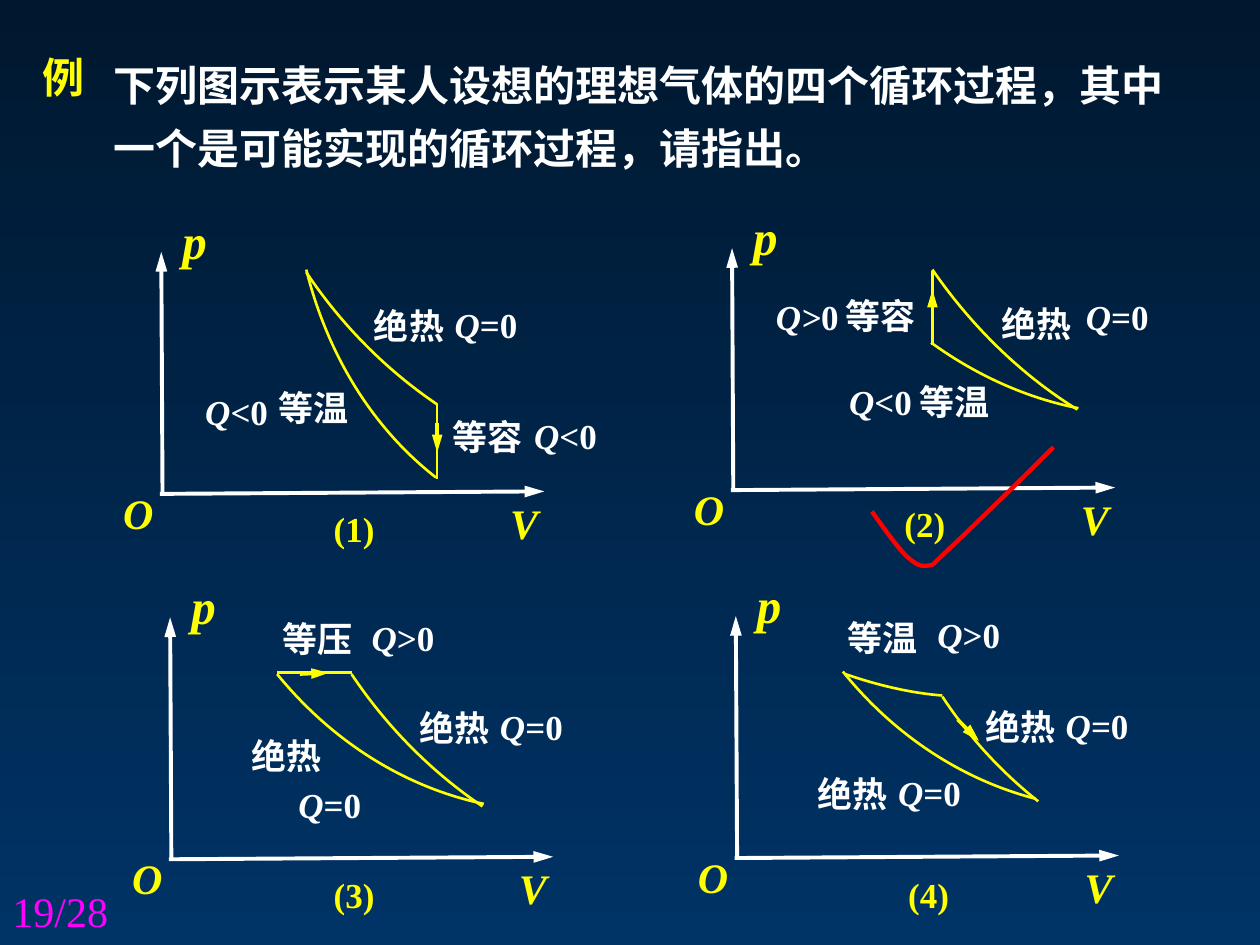
import math

import pptx
import pptx.util
import pptx.dml.color
import pptx.enum.shapes
import pptx.enum.text
import pptx.oxml
import pptx.oxml.ns
from pptx.util import Inches

WHITE, YELLOW, RED, MAGENTA = "FFFFFF", "FFFF00", "FF0000", "FF00FF"
SERIF = "Times New Roman"
NAMESPACE = pptx.oxml.ns.nsdecls("a")

# Shift of each diagram's axes, relative to the first one
AXES_SHIFTS = [(0, 0), (4.53, -0.03), (0.07, 2.9), (4.56, 2.89)]

# Caption of each diagram: text, left, top
CAPTIONS = [("(1)", 2.55, 3.98), ("(2)", 7.08, 3.94),
            ("(3)", 2.55, 6.88), ("(4)", 7.11, 6.88)]

# Curved processes: frame, rotation, then start, two control points and end as drawn
ARCS = [
    ((2.64, 1.39, 2.32, 1.45), 325.8, [(3.47, 3.21), (3.07, 2.94), (2.71, 2.58), (2.43, 2.16)]),
    ((2.41, 1.16, 2.41, 2.64), 3.9, [(3.46, 3.79), (2.96, 3.4), (2.6, 2.82), (2.43, 2.14)]),
    ((7.64, 1.35, 2.32, 1.56), 325.8, [(8.55, 3.25), (8.11, 2.98), (7.71, 2.59), (7.4, 2.14)]),
    ((7.17, 0.93, 2.41, 2.19), 323.6, [(8.56, 3.24), (8.15, 3.16), (7.75, 2.98), (7.39, 2.72)]),
    ((3, 4.58, 2.32, 1.45), 325.8, [(3.83, 6.4), (3.43, 6.13), (3.07, 5.77), (2.79, 5.35)]),
    ((2.2, 3.82, 2.41, 2.64), 338.3, [(3.84, 6.38), (3.22, 6.25), (2.64, 5.89), (2.2, 5.35)]),
    ((7.59, 4.77, 2.32, 1.13), 325.8, [(8.24, 6.36), (7.95, 6.13), (7.69, 5.85), (7.48, 5.53)]),
    ((6.68, 3.81, 2.41, 2.57), 338.3, [(8.22, 6.34), (7.64, 6.19), (7.1, 5.84), (6.69, 5.33)]),
    ((6.1, 3.39, 2.41, 1.78), 307.1, [(7.48, 5.52), (7.23, 5.5), (6.97, 5.44), (6.71, 5.35)]),
]

# Straight processes and the direction arrows on them
STRAIGHTS = [((3.47, 3.21), (3.47, 3.8)), ((7.4, 2.15), (7.4, 2.74)),
             ((2.2, 5.34), (2.79, 5.34))]
DIRECTIONS = [((3.47, 3.36), (3.47, 3.59)), ((7.4, 2.53), (7.4, 2.3)),
              ((2.38, 5.35), (2.61, 5.34)), ((7.6, 5.71), (7.77, 5.88))]

# Names of the processes: text, left, top, width
PROCESSES = [
    ("绝热", 2.87, 2.37, 1.34), ("等容", 3.49, 3.25, 1.35), ("等温", 2.11, 3.02, 1.16),
    ("绝热", 7.85, 2.35, 1.34), ("等容", 6.61, 2.29, 1.35), ("等温", 7.2, 2.97, 1.16),
    ("绝热", 3.23, 5.56, 1.34), ("等压", 2.14, 4.85, 1.35), ("绝热", 1.9, 5.78, 1.34),
    ("绝热", 7.72, 5.55, 1.34), ("等温", 6.63, 4.84, 1.35), ("绝热", 6.39, 6.08, 1.34),
]

# Heat of the processes: italic part, upright part, left, top, width
HEATS = [
    ("Q", "=0", 3.51, 2.36, 1.2), ("Q", "<0", 4.14, 3.24, 1.2), ("Q", "<0", 1.53, 3.05, 1.12),
    ("Q", "=0", 8.52, 2.3, 1.2), ("Q>", "0", 6.06, 2.3, 1.2), ("Q", "<0", 6.64, 2.97, 1.12),
    ("Q", "=0", 3.87, 5.55, 1.2), ("Q", ">0", 2.85, 4.84, 1.12), ("Q", "=0", 2.27, 6.17, 1.2),
    ("Q", "=0", 8.36, 5.54, 1.2), ("Q", ">0", 7.34, 4.82, 1.12), ("Q", "=0", 7.03, 6.07, 1.2),
]

# Tick over the right answer: start, then three points for each joined curve
TICK_FRAME = (6.92, 3.55, 1.44, 0.96)
TICK = [(6.92, 4.06), (7.02, 4.2), (7.12, 4.34), (7.19, 4.41),
        (7.27, 4.48), (7.3, 4.5), (7.36, 4.49),
        (7.42, 4.48), (7.37, 4.51), (7.53, 4.36),
        (7.7, 4.2), (8.03, 3.88), (8.36, 3.55)]


def rgb(color):
    return pptx.dml.color.RGBColor.from_string(color)


def add_text(shapes, text, left, top, width, height, size=20, color=WHITE,
             italic="", font=SERIF, bold=True, wrap=True, grow=True):
    """Add a text box; an italic part may lead the upright text."""
    box = shapes.add_textbox(Inches(left), Inches(top), Inches(width), Inches(height))
    frame = box.text_frame
    frame.word_wrap = wrap
    if grow:
        frame.auto_size = pptx.enum.text.MSO_AUTO_SIZE.SHAPE_TO_FIT_TEXT
    paragraph = frame.paragraphs[0]
    paragraph.text = italic or text
    if italic:
        paragraph.runs[0].font.italic = True
        if text:
            paragraph.add_run().text = text
    for run in paragraph.runs:
        run.font.name = font
        run.font.size = pptx.util.Pt(size)
        run.font.bold = bold
        run.font.color.rgb = rgb(color)
    return paragraph


def add_line(shapes, start, end, color, weight, arrow=False):
    line = shapes.add_connector(pptx.enum.shapes.MSO_CONNECTOR.STRAIGHT,
                                *(Inches(value) for value in (*start, *end)))
    line.line.color.rgb = rgb(color)
    line.line.width = pptx.util.Pt(weight)
    if arrow:
        line.line._get_or_add_ln().append(pptx.oxml.parse_xml(
            f'<a:tailEnd {NAMESPACE} type="triangle" w="med" len="lg"/>'))
    line._element.spPr.append(pptx.oxml.parse_xml(f'<a:effectLst {NAMESPACE}/>'))


def add_curve(shapes, frame, points, color, weight, rotation=0):
    """Draw joined cubic curves in a frame that is turned about its centre."""
    left, top, width, height = frame
    builder = shapes.build_freeform(Inches(left), Inches(top))
    builder.add_line_segments([(Inches(left + width), Inches(top + height))], close=False)
    outline = builder.convert_to_shape()
    outline.rotation = rotation
    outline.shadow.inherit = False
    outline.fill.background()
    outline.line.color.rgb = rgb(color)
    outline.line.width = pptx.util.Pt(weight)

    # Turn the points back into the frame and use them as curve points
    cosine, sine = math.cos(math.radians(rotation)), math.sin(math.radians(rotation))
    marks = []
    for x, y in points:
        dx, dy = x - left - width / 2, y - top - height / 2
        local_x = Inches(dx * cosine + dy * sine + width / 2)
        local_y = Inches(dy * cosine - dx * sine + height / 2)
        marks.append(f'<a:pt {NAMESPACE} x="{local_x}" y="{local_y}"/>')
    commands = [f'<a:moveTo {NAMESPACE}>{marks[0]}</a:moveTo>']
    commands += [f'<a:cubicBezTo {NAMESPACE}>{"".join(marks[i:i + 3])}</a:cubicBezTo>'
                 for i in range(1, len(marks), 3)]
    drawing = outline._element.spPr.find(".//" + pptx.oxml.ns.qn("a:path"))
    for segment in list(drawing):
        drawing.remove(segment)
    for command in commands:
        drawing.append(pptx.oxml.parse_xml(command))


def add_axes(shapes, dx, dy):
    axes = shapes.add_group_shape().shapes
    add_line(axes, (1.27 + dx, 3.92 + dy), (4.32 + dx, 3.9 + dy), WHITE, 2.25, arrow=True)
    add_line(axes, (1.29 + dx, 3.91 + dy), (1.28 + dx, 2 + dy), WHITE, 2.25, arrow=True)
    for name, left, top, width, height, size in (("V", 3.95, 3.9, 0.42, 0.5, 24),
                                                 ("p", 1.35, 1.62, 0.4, 0.57, 28),
                                                 ("O", 0.88, 3.82, 0.44, 0.5, 24)):
        add_text(axes, "", left + dx, top + dy, width, height, size, YELLOW,
                 italic=name, wrap=False)


def set_background(slide, top_color, bottom_color):
    fill = slide.background.fill
    fill.gradient()
    fill.gradient_angle = 270
    for stop, color in zip(fill.gradient_stops, (top_color, bottom_color)):
        stop.color.rgb = rgb(color)


def main():
    presentation = pptx.Presentation()
    presentation.slide_width, presentation.slide_height = Inches(10), Inches(7.5)
    slide = presentation.slides.add_slide(presentation.slide_layouts[6])
    shapes = slide.shapes
    set_background(slide, "00182F", "003366")

    # Question
    add_text(shapes, "例", 0.24, 0.36, 0.54, 0.5, 24, YELLOW, font="Arial", wrap=False)
    question = add_text(
        shapes, "下列图示表示某人设想的理想气体的四个循环过程，其中一个是可能实现的循环过程，请指出。",
        0.8, 0.32, 8.73, 1.1, 24)
    question.line_spacing = 1.25

    # Four p-V diagrams
    for shift in AXES_SHIFTS:
        add_axes(shapes, *shift)
    for frame, rotation, points in ARCS:
        add_curve(shapes, frame, points, YELLOW, 1.5, rotation)
    for start, end in STRAIGHTS:
        add_line(shapes, start, end, YELLOW, 1.5)
    for start, end in DIRECTIONS:
        add_line(shapes, start, end, YELLOW, 2, arrow=True)

    # Labels
    for process, left, top, width in PROCESSES:
        add_text(shapes, process, left, top, width, 0.43)
    for symbol, relation, left, top, width in HEATS:
        add_text(shapes, relation, left, top, width, 0.43, italic=symbol)
    for caption, left, top in CAPTIONS:
        add_text(shapes, caption, left, top, 1.2, 0.43, color=YELLOW)

    # Answer and page number
    add_curve(shapes, TICK_FRAME, TICK, RED, 2.5)
    add_text(shapes, "19/28", 0, 6.98, 2.33, 0.52, 24, MAGENTA, bold=False, grow=False)

    presentation.save("out.pptx")


if __name__ == "__main__":
    main()
